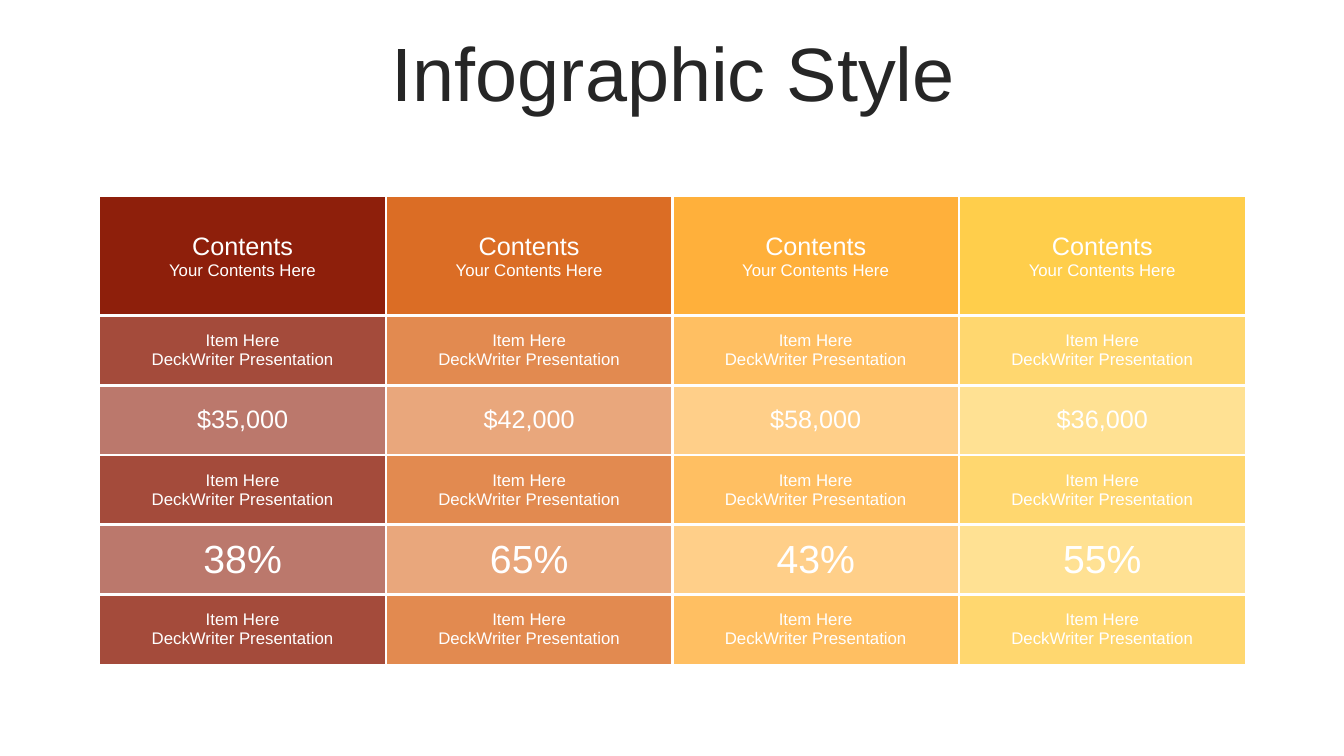
from lxml.etree import SubElement
from pptx import Presentation
from pptx.dml.color import RGBColor
from pptx.enum.text import MSO_ANCHOR, PP_ALIGN
from pptx.oxml.ns import qn
from pptx.util import Inches, Pt

# Content
TITLE = "Infographic Style"
HEADING = [("Contents", 18), ("Your Contents Here", 12)]
ITEM = [("Item Here", 12), ("DeckWriter Presentation", 12)]
AMOUNTS = ["$35,000", "$42,000", "$58,000", "$36,000"]
SHARES = ["38%", "65%", "43%", "55%"]

COLORS = {"title": "262626", "text": "FFFFFF", "border": "FFFFFF"}
COLUMN_COLORS = ["8E1F0B", "DB6D25", "FFB03B", "FFCE4B"]
FONT = "Arial"

# Each row: fill opacity in percent, lines of each cell
ROWS = [
    (100, [HEADING] * 4),
    (80, [ITEM] * 4),
    (60, [[(amount, 18)] for amount in AMOUNTS]),
    (80, [ITEM] * 4),
    (60, [[(share, 28)] for share in SHARES]),
    (80, [ITEM] * 4),
]

# Table geometry in inches, border widths in points
LEFT, TOP, WIDTH, HEIGHT = 0.985, 1.95, 11.37, 4.64
HEADING_HEIGHT = 1.18
ITEM_HEIGHT = (HEIGHT - HEADING_HEIGHT) / (len(ROWS) - 1)
COLUMN_WIDTH = WIDTH / len(COLUMN_COLORS)
INNER_BORDER, OUTER_BORDER = 2.25, 1


def write_lines(frame, lines, color, line_spacing=None):
    for index, (text, size) in enumerate(lines):
        paragraph = frame.paragraphs[0] if index == 0 else frame.add_paragraph()
        paragraph.alignment = PP_ALIGN.CENTER
        if line_spacing:
            paragraph.line_spacing = line_spacing
        run = paragraph.add_run()
        run.text = text
        run.font.name = FONT
        run.font.size = Pt(size)
        run.font.color.rgb = RGBColor.from_string(color)


def add_borders(cell, outer_sides):
    properties = cell._tc.get_or_add_tcPr()
    for side in ("L", "R", "T", "B"):
        width = OUTER_BORDER if side in outer_sides else INNER_BORDER
        line = SubElement(properties, qn(f"a:ln{side}"), w=str(Pt(width)))
        fill = SubElement(line, qn("a:solidFill"))
        SubElement(fill, qn("a:srgbClr"), val=COLORS["border"])


def fill_cell(cell, color, opacity):
    cell.fill.solid()
    cell.fill.fore_color.rgb = RGBColor.from_string(color)
    if opacity < 100:
        shade = cell._tc.tcPr.find(qn("a:solidFill")).find(qn("a:srgbClr"))
        SubElement(shade, qn("a:alpha"), val=str(opacity * 1000))


def main():
    prs = Presentation()
    prs.slide_width, prs.slide_height = Inches(13.33), Inches(7.5)
    slide = prs.slides.add_slide(prs.slide_layouts[5])

    # Title
    title = slide.shapes.title
    title.left, title.top = Inches(0.35), Inches(0.37)
    title.width, title.height = Inches(12.66), Inches(0.79)
    title.text_frame.vertical_anchor = MSO_ANCHOR.MIDDLE
    write_lines(title.text_frame, [(TITLE, 54)], COLORS["title"], line_spacing=0.9)

    # Table grid
    last_row, last_column = len(ROWS) - 1, len(COLUMN_COLORS) - 1
    table = slide.shapes.add_table(
        len(ROWS), len(COLUMN_COLORS), Inches(LEFT), Inches(TOP),
        Inches(WIDTH), Inches(HEIGHT)).table
    table.first_row = table.horz_banding = False
    for column in table.columns:
        column.width = Inches(COLUMN_WIDTH)

    # Table cells
    for r, (opacity, row_cells) in enumerate(ROWS):
        table.rows[r].height = Inches(HEADING_HEIGHT if r == 0 else ITEM_HEIGHT)
        for c, (lines, color) in enumerate(zip(row_cells, COLUMN_COLORS)):
            cell = table.cell(r, c)
            cell.vertical_anchor = MSO_ANCHOR.MIDDLE
            if r > 0:
                cell.margin_left = cell.margin_right = Inches(0.12)
            edges = {"L": c == 0, "R": c == last_column,
                     "T": r == 0, "B": r == last_row}
            add_borders(cell, [side for side, outer in edges.items() if outer])
            fill_cell(cell, color, opacity)
            write_lines(cell.text_frame, lines, COLORS["text"])

    prs.save("out.pptx")


if __name__ == "__main__":
    main()
